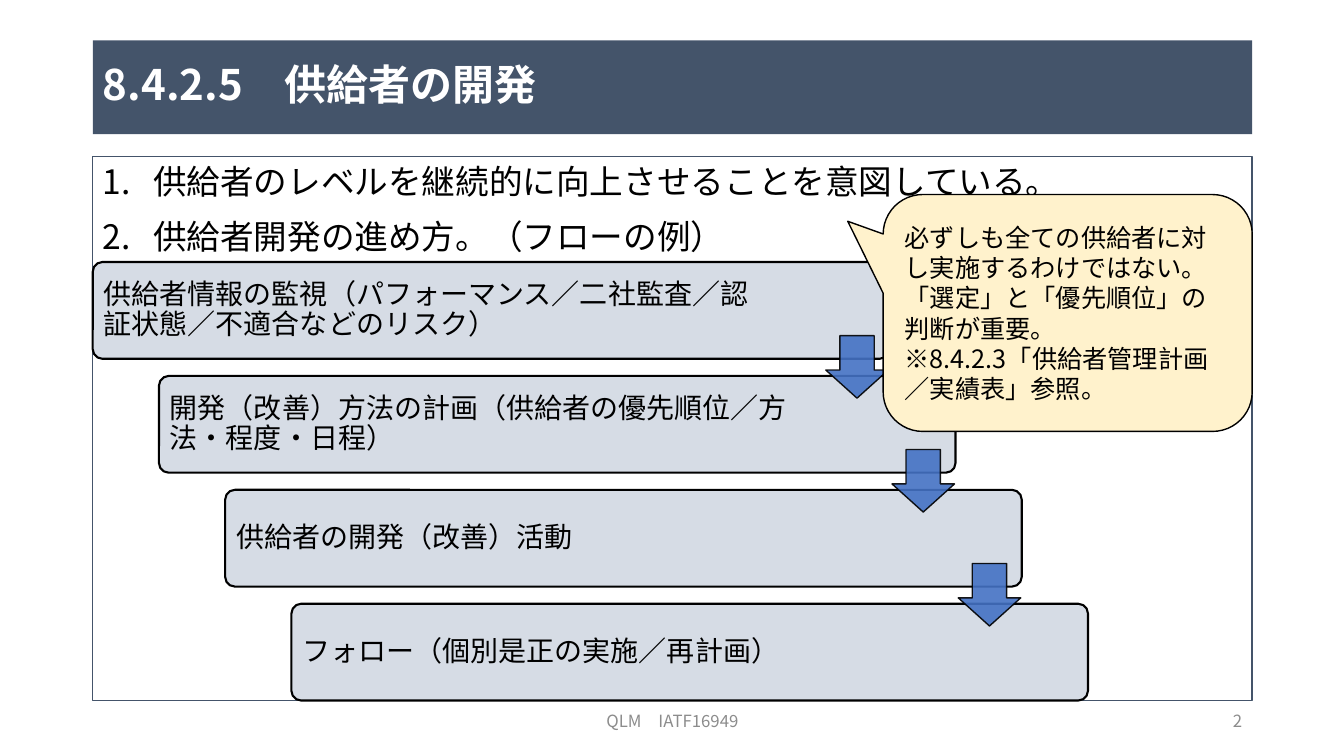
from dataclasses import dataclass

from lxml import etree
from pptx import Presentation
from pptx import util as u
from pptx.dml import color
from pptx.enum import shapes, text
from pptx.oxml import ns
from pptx.shapes.autoshape import Shape
from pptx.slide import Slide
from pptx.text.text import TextFrame

FONT = "Noto Sans CJK JP"
COLORS = {
    "navy": "44546A",
    "white": "FFFFFF",
    "black": "000000",
    "gray": "8C8C8C",
    "step": "D6DCE5",
    "arrow": "4472C4",
    "note": "FFF2CC",
}
LEFT, WIDTH = 0.92, 11.5
STEP_SIZE = (7.9, 0.96)
STEP_DX, STEP_DY = 0.657, 1.13
ARROW_SIDE = 0.62
KIND = shapes.MSO_SHAPE
ALIGN = text.PP_ALIGN


@dataclass
class Box:
    left: float
    top: float
    width: float
    height: float

    def lengths(self) -> list[u.Length]:
        return [u.Inches(n) for n in (self.left, self.top, self.width, self.height)]


@dataclass
class Style:
    size: float
    color: str = "black"
    bold: bool = False
    align: ALIGN = ALIGN.LEFT
    spacing: float | None = None


@dataclass
class Step:
    label: str
    text_right: float  # distance from the left edge at which the label wraps


STEPS = [
    Step("供給者情報の監視（パフォーマンス／二社監査／認証状態／不適合などのリスク）", 6.72),
    Step("開発（改善）方法の計画（供給者の優先順位／方法・程度・日程）", 6.47),
    Step("供給者の開発（改善）活動", 6.47),
    Step("フォロー（個別是正の実施／再計画）", 6.47),
]


def rgb(name: str) -> color.RGBColor:
    return color.RGBColor.from_string(COLORS[name])


def write(frame: TextFrame, lines: list[str], style: Style,
          anchor: text.MSO_ANCHOR = text.MSO_ANCHOR.MIDDLE) -> None:
    frame.word_wrap = True
    frame.auto_size = text.MSO_AUTO_SIZE.NONE
    frame.vertical_anchor = anchor
    for index, line in enumerate(lines):
        para = frame.add_paragraph() if index else frame.paragraphs[0]
        para.alignment = style.align
        if style.spacing:
            para.line_spacing = style.spacing
        span = para.add_run()
        span.text = line
        font = span.font
        font.size, font.bold, font.name = u.Pt(style.size), style.bold, FONT
        font.color.rgb = rgb(style.color)
        east_asian = etree.SubElement(span._r.get_or_add_rPr(), ns.qn("a:ea"))
        east_asian.set("typeface", FONT)


def add_figure(page: Slide, kind: KIND, box: Box, fill: str | None, line: str,
               weight: float, adjustments: tuple[float, ...] = ()) -> Shape:
    shape = page.shapes.add_shape(kind, *box.lengths())
    shape.shadow.inherit = False
    if fill:
        shape.fill.solid()
        shape.fill.fore_color.rgb = rgb(fill)
    else:
        shape.fill.background()
    shape.line.color.rgb = rgb(line)
    shape.line.width = u.Pt(weight)
    for index, value in enumerate(adjustments):
        shape.adjustments[index] = value
    return shape


def set_opacity(shape: Shape, percent: int) -> None:
    """Apply one opacity to the fill and the outline."""
    for tint in shape._element.spPr.iter(ns.qn("a:srgbClr")):
        etree.SubElement(tint, ns.qn("a:alpha")).set("val", str(percent * 1000))


def add_title(page: Slide) -> None:
    title = page.shapes.title
    title.left, title.top, title.width, title.height = Box(LEFT, 0.4, WIDTH, 0.93).lengths()
    title.fill.solid()
    title.fill.fore_color.rgb = rgb("navy")
    write(title.text_frame, ["8.4.2.5　供給者の開発"], Style(30, "white", True, spacing=0.9))


def add_body(page: Slide) -> None:
    body = add_figure(page, KIND.RECTANGLE, Box(LEFT, 1.55, WIDTH, 5.4), None, "navy", 1)
    lines = ["供給者のレベルを継続的に向上させることを意図している。",
             "供給者開発の進め方。（フローの例）"]
    write(body.text_frame, lines, Style(24), text.MSO_ANCHOR.TOP)
    for index, para in enumerate(body.text_frame.paragraphs):
        if index:
            para.space_before = u.Pt(10)
        props = para._p.get_or_add_pPr()
        props.set("marL", str(u.Inches(0.5)))
        props.set("indent", str(u.Inches(-0.5)))
        etree.SubElement(props, ns.qn("a:buFont")).set("typeface", "+mj-lt")
        etree.SubElement(props, ns.qn("a:buAutoNum")).set("type", "arabicPeriod")


def add_footer(page: Slide, box: Box, label: str, align: ALIGN) -> None:
    footer = page.shapes.add_textbox(*box.lengths())
    write(footer.text_frame, [label], Style(12, "gray", align=align))


def add_flow(page: Slide) -> None:
    for index, step in enumerate(STEPS):
        box = Box(LEFT + index * STEP_DX, 2.6 + index * STEP_DY, *STEP_SIZE)
        shape = add_figure(page, KIND.ROUNDED_RECTANGLE, box, "step", "black", 1.5, (0.1,))
        frame = shape.text_frame
        frame.margin_left = u.Inches(0.08)
        frame.margin_right = u.Inches(box.width - step.text_right)
        write(frame, [step.label], Style(20, spacing=0.9))
    for index in range(len(STEPS) - 1):
        box = Box(8.19 + index * STEP_DX, 3.33 + index * STEP_DY, ARROW_SIDE, ARROW_SIDE)
        arrow = add_figure(page, KIND.DOWN_ARROW, box, "arrow", "black", 1, (0.55, 0.45))
        set_opacity(arrow, 90)


def add_note(page: Slide) -> None:
    note = add_figure(page, KIND.ROUNDED_RECTANGULAR_CALLOUT, Box(8.76, 1.93, 3.66, 2.35),
                      "note", "black", 1, (-0.596, -0.387, 0.167))
    lines = ["必ずしも全ての供給者に対し実施するわけではない。「選定」と「優先順位」の判断が重要。",
             "※8.4.2.3「供給者管理計画／実績表」参照。"]
    write(note.text_frame, lines, Style(18))


def main() -> None:
    deck = Presentation()
    deck.slide_width, deck.slide_height = u.Inches(13.33), u.Inches(7.5)
    page = deck.slides.add_slide(deck.slide_layouts[5])
    add_title(page)
    add_body(page)
    add_footer(page, Box(4.42, 6.95, 4.5, 0.4), "QLM　IATF16949", ALIGN.CENTER)
    add_footer(page, Box(9.42, 6.95, 3, 0.4), "2", ALIGN.RIGHT)
    add_flow(page)
    add_note(page)
    deck.save("out.pptx")


if __name__ == "__main__":
    main()
